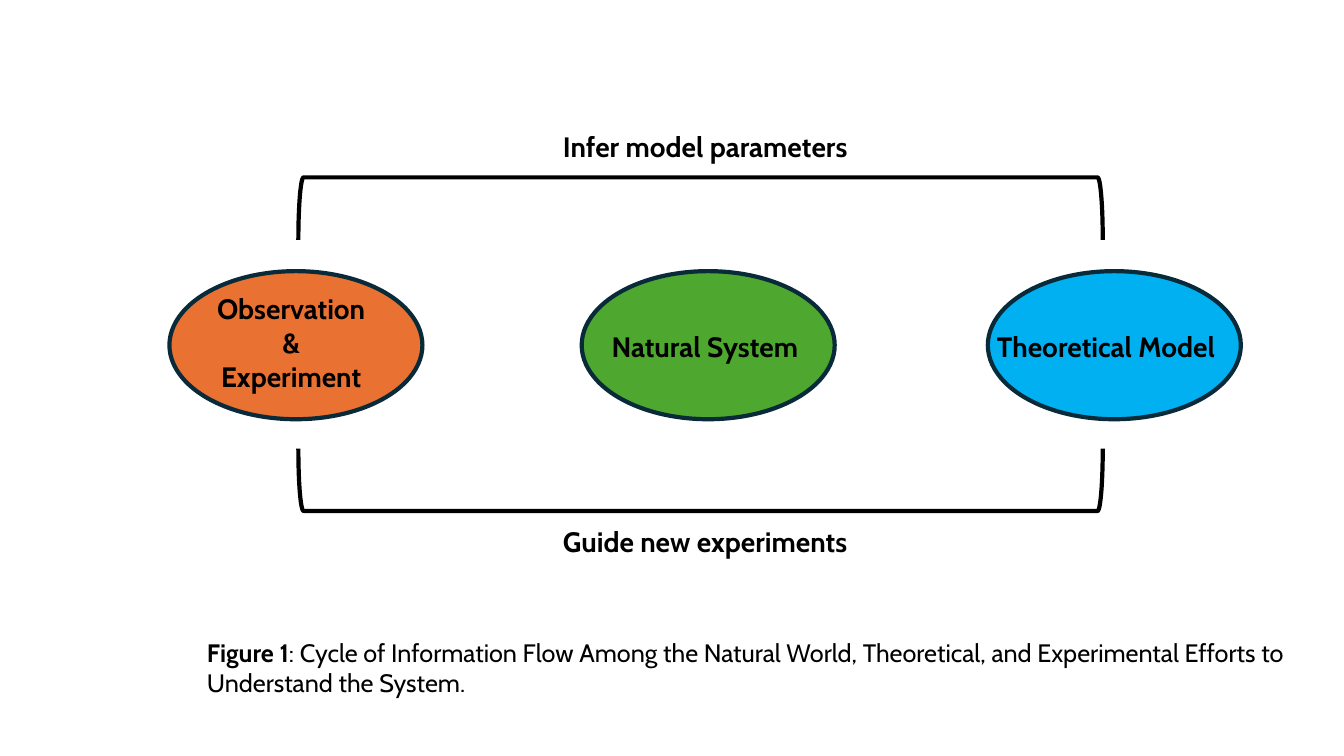
from pptx import Presentation
from pptx.dml.color import RGBColor
from pptx.enum.shapes import MSO_SHAPE
from pptx.enum.text import MSO_ANCHOR, PP_ALIGN
from pptx.util import Pt

STAGES = [
    ("Observation\n&\nExperiment", "E97132", 121, 208, 244.5),
    ("Natural System", "4EA72E", 415.5, 503.5, 247),
    ("Theoretical Model", "00B0F0", 705.6, 790, 247),
]
FLOWS = [
    ("Infer model parameters", 88.5, 149, 270),
    ("Guide new experiments", 371, 342.7, 90),
]
CAPTION = [
    ("Figure 1", True),
    (": Cycle of Information Flow Among the Natural World, Theoretical, and "
     "Experimental Efforts to Understand the System.", False),
]
FONT, BLACK, OUTLINE = "Cabin", "000000", "092A39"
STAGE_TOP, STAGE_WIDTH, STAGE_HEIGHT = 193.7, 180.7, 105.8
BRACKET_CENTER, BRACKET_DEPTH, BRACKET_SPAN = 500.4, 44.6, 574.6
LINE_HEIGHT, INSETS = 24.3, 7.2


def color(value):
    return RGBColor.from_string(value)


def add_outlined(kind, left, top, width, height, line, fill=None):
    shape = slide.shapes.add_shape(kind, Pt(left), Pt(top), Pt(width), Pt(height))
    shape.shadow.inherit = False
    if fill:
        shape.fill.solid()
        shape.fill.fore_color.rgb = color(fill)
    else:
        shape.fill.background()
    shape.line.color.rgb = color(line)
    shape.line.width = Pt(3)
    return shape


def style(run, size, bold):
    run.font.name = FONT
    run.font.size = Pt(size)
    run.font.bold = bold
    run.font.color.rgb = color(BLACK)


def add_text(left, top, width, height):
    frame = slide.shapes.add_textbox(Pt(left), Pt(top), Pt(width), Pt(height)).text_frame
    frame.word_wrap = True
    return frame


def add_label(text, left, top, width, align):
    height = LINE_HEIGHT * len(text.split("\n")) + INSETS
    frame = add_text(left, top, width, height)
    frame.vertical_anchor = MSO_ANCHOR.MIDDLE
    frame.text = text
    for paragraph in frame.paragraphs:
        paragraph.alignment = align
        style(paragraph.runs[0], 20, True)


prs = Presentation()
prs.slide_width, prs.slide_height = Pt(960), Pt(540)
slide = prs.slides.add_slide(prs.slide_layouts[6])

for stage, fill, left, label_center, label_middle in STAGES:
    add_outlined(MSO_SHAPE.OVAL, left, STAGE_TOP, STAGE_WIDTH, STAGE_HEIGHT, OUTLINE, fill)
    label_height = LINE_HEIGHT * len(stage.split("\n")) + INSETS
    add_label(stage, label_center - STAGE_WIDTH / 2, label_middle - label_height / 2,
              STAGE_WIDTH, PP_ALIGN.CENTER)

for flow, label_top, bracket_middle, rotation in FLOWS:
    bracket = add_outlined(MSO_SHAPE.RIGHT_BRACKET, BRACKET_CENTER - BRACKET_DEPTH / 2,
                           bracket_middle - BRACKET_SPAN / 2, BRACKET_DEPTH, BRACKET_SPAN, BLACK)
    bracket.rotation = rotation
    add_label(flow, 395, label_top, 365, PP_ALIGN.LEFT)

caption = add_text(140.8, 451.4, 789, 51).paragraphs[0]
for text, bold in CAPTION:
    run = caption.add_run()
    run.text = text
    style(run, 18, bold)

prs.save("out.pptx")
